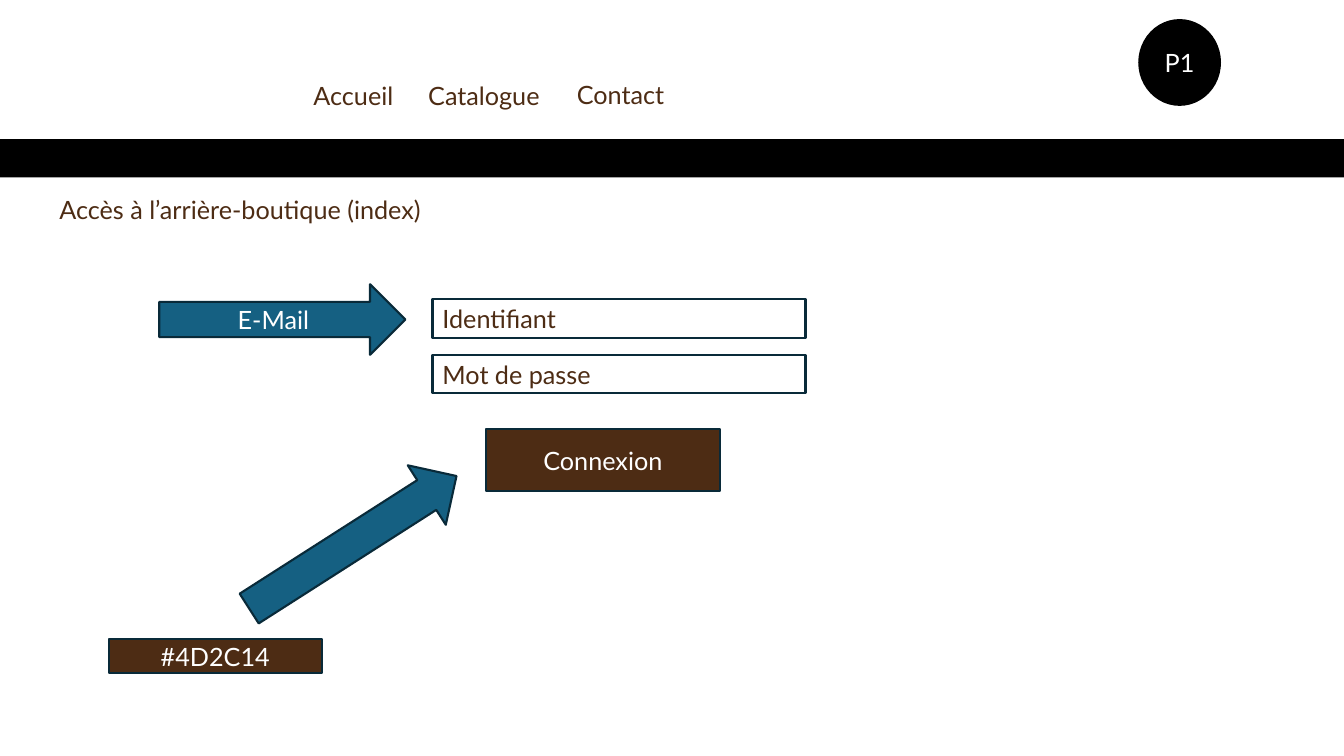
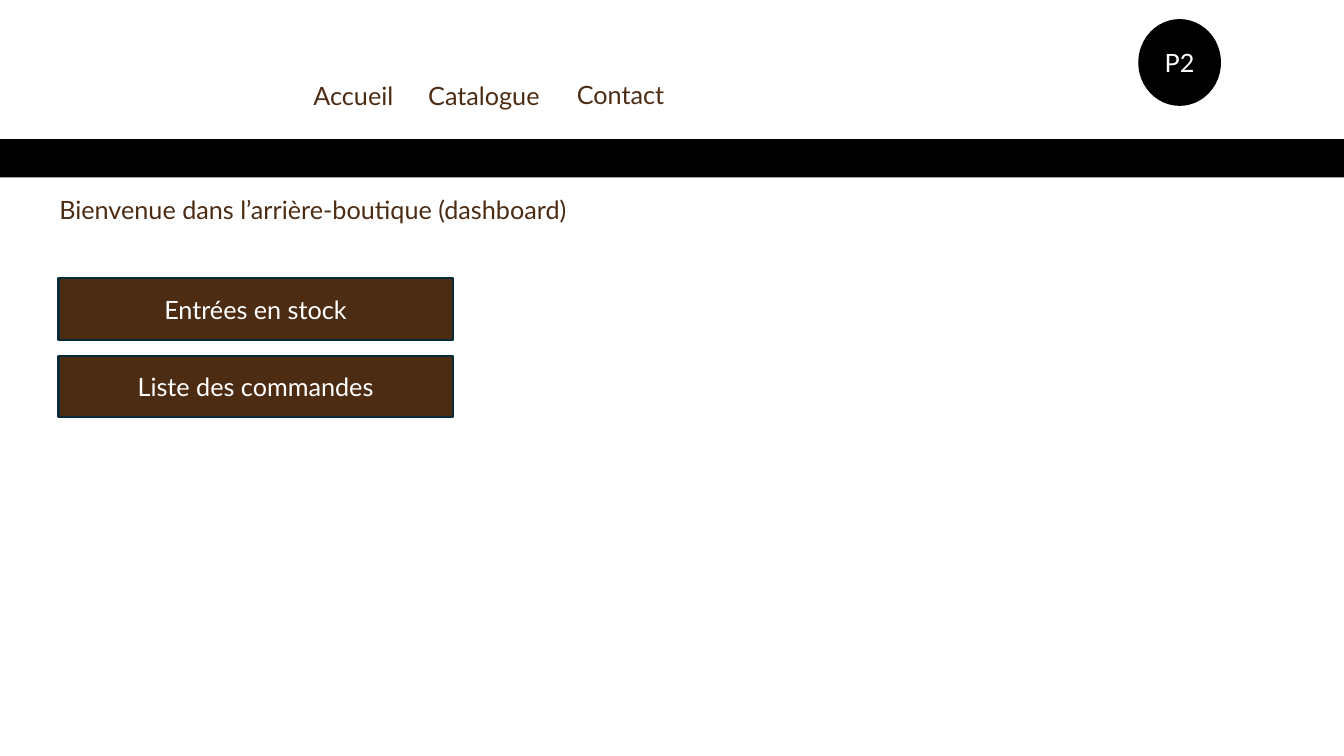
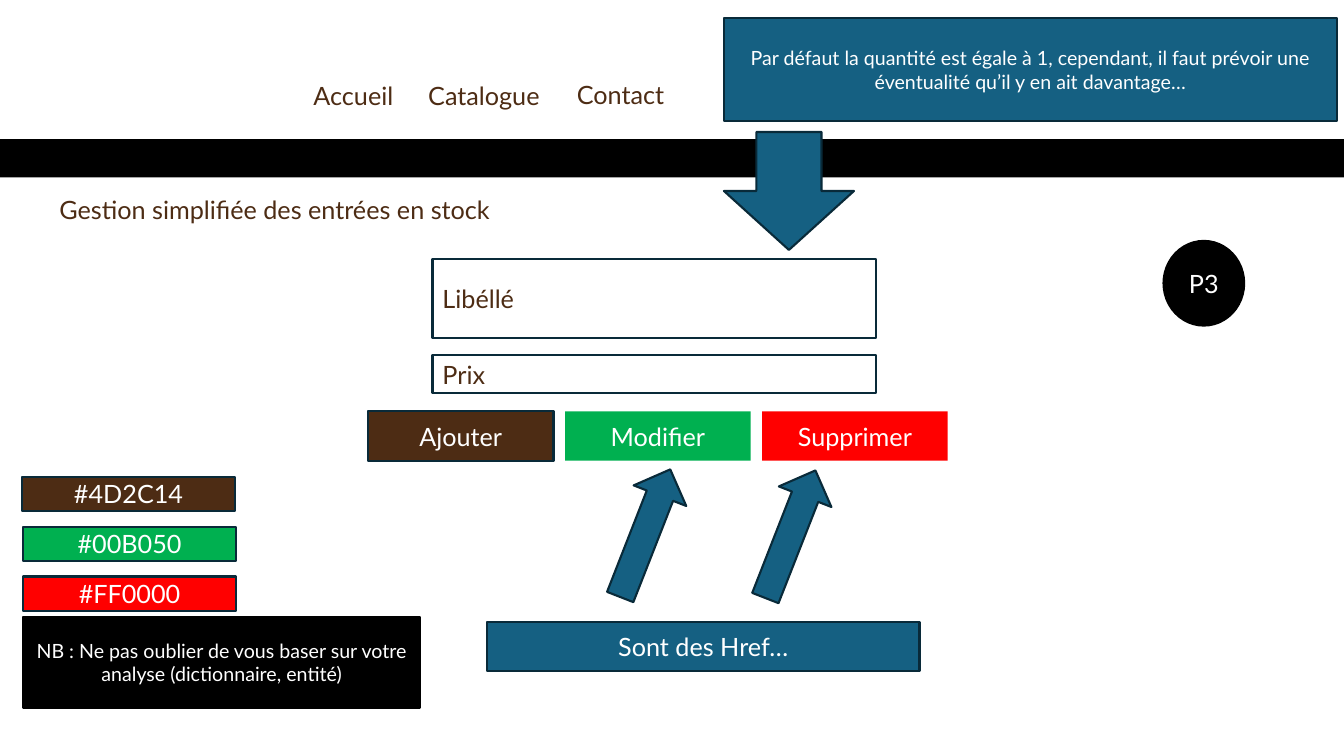
from pptx import Presentation
from pptx.dml.color import RGBColor
from pptx.enum.shapes import MSO_SHAPE
from pptx.enum.text import MSO_ANCHOR, PP_ALIGN
from pptx.util import Inches, Pt

RECTANGLE, ELLIPSE = MSO_SHAPE.RECTANGLE, MSO_SHAPE.OVAL
RIGHT_ARROW, DOWN_ARROW = MSO_SHAPE.RIGHT_ARROW, MSO_SHAPE.DOWN_ARROW
LEFT, CENTER = PP_ALIGN.LEFT, PP_ALIGN.CENTER
MIDDLE = MSO_ANCHOR.MIDDLE

WHITE = RGBColor(0xFF, 0xFF, 0xFF)
BLACK = RGBColor(0x00, 0x00, 0x00)
BROWN = RGBColor(0x4D, 0x2C, 0x14)
BLUE = RGBColor(0x15, 0x60, 0x82)
NAVY = RGBColor(0x09, 0x2A, 0x39)
GREEN = RGBColor(0x00, 0xB0, 0x50)
RED = RGBColor(0xFF, 0x00, 0x00)
FONT = "Lato"

presentation = Presentation()
presentation.slide_width = Inches(13.33)
presentation.slide_height = Inches(7.5)
blank_layout = presentation.slide_layouts[6]


def add_block(slide, text, left, top, width, height, kind=RECTANGLE, fill=BLUE,
              line=NAVY, color=WHITE, size=18, align=CENTER, rotation=0):
    shape = slide.shapes.add_shape(
        kind, Inches(left), Inches(top), Inches(width), Inches(height))
    shape.shadow.inherit = False
    shape.rotation = rotation
    shape.fill.solid()
    shape.fill.fore_color.rgb = fill
    if line is None:
        shape.line.fill.background()
    else:
        shape.line.color.rgb = line
        shape.line.width = Pt(1.5)
    if text:
        frame = shape.text_frame
        frame.word_wrap = True
        frame.vertical_anchor = MIDDLE
        paragraph = frame.paragraphs[0]
        paragraph.alignment = align
        run = paragraph.add_run()
        run.text = text
        run.font.name = FONT
        run.font.size = Pt(size)
        run.font.color.rgb = color


def add_page(title, badge, badge_left=11.3, badge_top=0.2):
    slide = presentation.slides.add_slide(blank_layout)
    plain = dict(fill=WHITE, line=None, color=BROWN)
    for label, left, top, width in (("Accueil", 2.9, 0.69, 1.21),
                                    ("Catalogue", 4.11, 0.69, 1.38),
                                    ("Contact", 5.55, 0.68, 1.21)):
        add_block(slide, label, left, top, width, 0.52, **plain)
    add_block(slide, "", 0, 1.38, 13.33, 0.38, fill=BLACK, line=None)
    add_block(slide, title, 0.49, 1.82, 5.57, 0.52, align=LEFT, **plain)
    add_block(slide, badge, badge_left, badge_top, 0.8, 0.84, kind=ELLIPSE,
              fill=BLACK, line=BLACK)
    return slide


field = dict(fill=WHITE, color=BROWN, align=LEFT)

# Page 1: login
login = add_page("Accès à l’arrière-boutique (index)", "P1")
for label, top in (("Identifiant", 2.97), ("Mot de passe", 3.52)):
    add_block(login, label, 4.29, top, 3.7, 0.38, **field)
add_block(login, "E-Mail", 1.58, 2.82, 2.44, 0.7, kind=RIGHT_ARROW)
add_block(login, "#4D2C14", 1.08, 6.34, 2.11, 0.34, fill=BROWN)
add_block(login, "Connexion", 4.82, 4.26, 2.32, 0.61, fill=BROWN)
add_block(login, "", 2.28, 5.03, 2.44, 0.7, kind=RIGHT_ARROW, rotation=327.4)

# Page 2: dashboard
dashboard = add_page("Bienvenue dans l’arrière-boutique (dashboard)", "P2")
for label, top in (("Entrées en stock", 2.76), ("Liste des commandes", 3.53)):
    add_block(dashboard, label, 0.58, top, 3.91, 0.61, fill=BROWN)

# Page 3: stock form
stock = add_page("Gestion simplifiée des entrées en stock", "P3", 11.54, 2.39)
for label, top, height in (("Libéllé", 2.57, 0.78), ("Prix", 3.52, 0.38)):
    add_block(stock, label, 4.29, top, 4.4, height, **field)

# Action buttons and their colour codes
actions = (("Ajouter", "#4D2C14", BROWN, NAVY, 0.22),
           ("Modifier", "#00B050", GREEN, None, 0.23),
           ("Supprimer", "#FF0000", RED, None, 0.23))
for index, (label, code, fill, line, code_left) in enumerate(actions):
    add_block(stock, label, 3.65 + index * 1.955, 4.08, 1.84, 0.49,
              fill=fill, line=line)
    add_block(stock, code, code_left, 4.73 + index * 0.495, 2.11, 0.34, fill=fill)

# Annotations
add_block(stock, "Par défaut la quantité est égale à 1, cependant, il faut prévoir "
          "une éventualité qu’il y en ait davantage…", 7.18, 0.18, 6.08, 1.02, size=14)
add_block(stock, "", 7.18, 1.31, 1.29, 1.17, kind=DOWN_ARROW)
for left, top in ((5.72, 5.01), (7.16, 5.02)):
    add_block(stock, "", left, top, 1.36, 0.56, kind=RIGHT_ARROW, rotation=291.4)
add_block(stock, "Sont des Href…", 4.83, 6.17, 4.29, 0.49)
add_block(stock, "NB : Ne pas oublier de vous baser sur votre analyse "
          "(dictionnaire, entité)", 0.23, 6.12, 3.94, 0.9,
          fill=BLACK, line=BLACK, size=14)

presentation.save("out.pptx")
